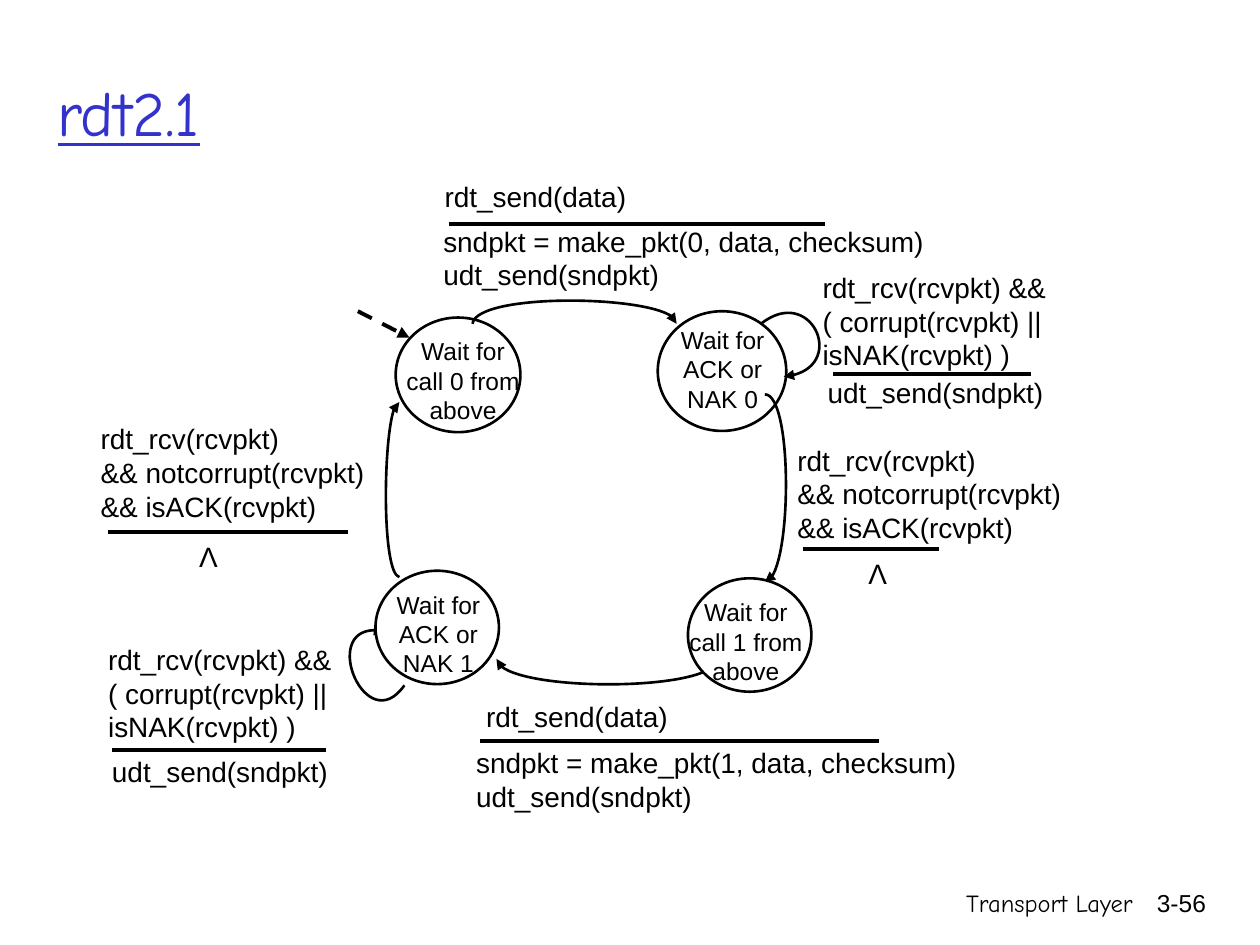
"""Build the rdt2.1 sender state machine slide."""
import pptx
import pptx.dml.color
import pptx.enum.dml
import pptx.enum.shapes
import pptx.enum.text
import pptx.oxml
import pptx.oxml.ns
import pptx.util

Inches = pptx.util.Inches
ALIGN = pptx.enum.text.PP_ALIGN
BLACK = pptx.dml.color.RGBColor(0x00, 0x00, 0x00)
WHITE = pptx.dml.color.RGBColor(0xFF, 0xFF, 0xFF)
BLUE = pptx.dml.color.RGBColor(0x33, 0x33, 0xCC)

RECEIVED_ACK = ["rdt_rcv(rcvpkt)", "&& notcorrupt(rcvpkt)", "&& isACK(rcvpkt)"]
RECEIVED_BAD = ["rdt_rcv(rcvpkt) &&", "( corrupt(rcvpkt) ||", "isNAK(rcvpkt) )"]
RESEND = ["udt_send(sndpkt)"]
SEND = ["rdt_send(data)"]

UPPER_STATES = [
    ((3.14, 2.52, 0.99, 0.91), (3.08, 2.62, 1.19, 0.67), ["Wait for call 0 from above"]),
    ((5.22, 2.47, 1.02, 0.95), (5.14, 2.53, 1.19, 0.71), ["Wait for ACK or NAK 0"]),
]
LOWER_STATES = [
    ((5.46, 4.59, 0.98, 0.9), (5.31, 4.69, 1.22, 0.67), ["Wait for", "call 1 from above"]),
    ((2.98, 4.53, 0.98, 0.9), (2.91, 4.63, 1.14, 0.67), ["Wait for ACK or NAK 1"]),
]
TRANSITIONS = [
    [(3.75, 2.57), (3.78, 2.33), (5.37, 2.34), (5.37, 2.57)],
    [(6.04, 2.57), (6.43, 2.26), (6.75, 2.94), (6.22, 2.99)],
    [(6.07, 3.13), (6.28, 3.13), (6.29, 4.59), (6.07, 4.62)],
    [(5.69, 5.23), (5.69, 5.48), (3.97, 5.5), (3.94, 5.23)],
    [(3.21, 5.44), (2.91, 5.87), (2.5, 4.91), (3.05, 5.01)],
    [(3.17, 4.58), (3.03, 4.55), (3.04, 3.19), (3.17, 3.19)],
]
LABELS = [
    ((3.43, 1.38, 2.31, 0.33), SEND),
    ((3.42, 1.73, 4.04, 0.44), ["sndpkt = make_pkt(0, data, checksum)"] + RESEND),
    ((6.43, 2.1, 2.8, 0.62), RECEIVED_BAD),
    ((6.47, 2.93, 2.47, 0.44), RESEND),
    ((6.23, 3.47, 3.28, 0.63), RECEIVED_ACK),
    ((3.76, 5.5, 2.61, 0.31), SEND),
    ((3.68, 5.87, 4.12, 0.44), ["sndpkt = make_pkt(1, data, checksum)"] + RESEND),
    ((0.76, 5.05, 2.2, 0.62), RECEIVED_BAD),
    ((0.79, 5.94, 1.99, 0.3), RESEND),
    ((0.7, 3.3, 2.31, 0.63), RECEIVED_ACK),
]
NO_ACTIONS = [(6.79, 4.37, 0.35, 0.37), (1.48, 4.23, 0.35, 0.37)]
BARS = [(3.56, 6.55, 1.78), (6.61, 8.18, 2.97), (6.37, 7.45, 4.36),
        (3.81, 6.98, 5.88), (0.89, 2.59, 5.95), (0.86, 2.76, 4.22)]
START_ARROW = (2.84, 2.47, 3.25, 2.68)


def add_text(s, box, lines, size=16, font="Arial", color=BLACK,
             align=ALIGN.LEFT, wrap=True, underline=None):
    sp = s.shapes.add_textbox(*map(Inches, box))
    tf = sp.text_frame
    tf.word_wrap = wrap
    for i, line in enumerate(lines):
        p = tf.paragraphs[0] if i == 0 else tf.add_paragraph()
        p.alignment = align
        r = p.add_run()
        r.text = line
        r.font.size = pptx.util.Pt(size)
        r.font.name = font
        r.font.color.rgb = color
        r.font.underline = underline
    return tf


def set_line(sp, width, dash=None, arrow=False):
    sp.line.color.rgb = BLACK
    sp.line.width = pptx.util.Pt(width)
    if dash:
        sp.line.dash_style = dash
    if arrow:
        ln = sp.element.spPr.find(pptx.oxml.ns.qn("a:ln"))
        ln.append(pptx.oxml.parse_xml(
            f'<a:tailEnd {pptx.oxml.ns.nsdecls("a")} type="triangle"/>'))


def add_straight(s, x1, y1, x2, y2, **style):
    sp = s.shapes.add_connector(pptx.enum.shapes.MSO_CONNECTOR.STRAIGHT,
                                *map(Inches, (x1, y1, x2, y2)))
    set_line(sp, 2.25, **style)
    sp.element.spPr.append(pptx.oxml.parse_xml(
        f'<a:effectLst {pptx.oxml.ns.nsdecls("a")}/>'))


def add_curve(s, points):
    start, *rest = [tuple(map(Inches, point)) for point in points]
    builder = s.shapes.build_freeform(*start)
    builder.add_line_segments(rest, close=False)
    sp = builder.convert_to_shape()
    qn = pptx.oxml.ns.qn
    path = next(sp.element.iter(qn("a:path")))
    curve = pptx.oxml.parse_xml(f'<a:cubicBezTo {pptx.oxml.ns.nsdecls("a")}/>')
    for segment in path.findall(qn("a:lnTo")):
        curve.append(segment.find(qn("a:pt")))
        path.remove(segment)
    path.append(curve)
    sp.fill.background()
    sp.shadow.inherit = False
    set_line(sp, 1.5, arrow=True)


def add_state(s, oval, box, lines):
    sp = s.shapes.add_shape(pptx.enum.shapes.MSO_SHAPE.OVAL, *map(Inches, oval))
    sp.shadow.inherit = False
    sp.fill.solid()
    sp.fill.fore_color.rgb = WHITE
    set_line(sp, 1.5)
    add_text(s, box, lines, size=14, align=ALIGN.CENTER)


def main():
    prs = pptx.Presentation()
    prs.slide_width, prs.slide_height = Inches(10), Inches(7.5)
    s = prs.slides.add_slide(prs.slide_layouts[6])
    add_text(s, (5.92, 7, 3.17, 0.5), ["Transport Layer"], 14, "Comic Neue", align=ALIGN.RIGHT)
    add_text(s, (8.93, 7, 0.74, 0.5), ["3-56"], 14, align=ALIGN.RIGHT)
    title = add_text(s, (0.36, 0.26, 9.05, 1.25), ["rdt2.1"], 36, "Comic Neue", BLUE,
                     underline=True)
    title.vertical_anchor = pptx.enum.text.MSO_ANCHOR.MIDDLE
    for state in UPPER_STATES:
        add_state(s, *state)
    for points in TRANSITIONS:
        add_curve(s, points)
    for state in LOWER_STATES:
        add_state(s, *state)
    for box, lines in LABELS:
        add_text(s, box, lines)
    for box in NO_ACTIONS:
        add_text(s, box, ["Λ"], align=ALIGN.CENTER, wrap=False)
    for left, right, y in BARS:
        add_straight(s, left, y, right, y)
    add_straight(s, *START_ARROW, dash=pptx.enum.dml.MSO_LINE.DASH, arrow=True)
    prs.save("out.pptx")


if __name__ == "__main__":
    main()
